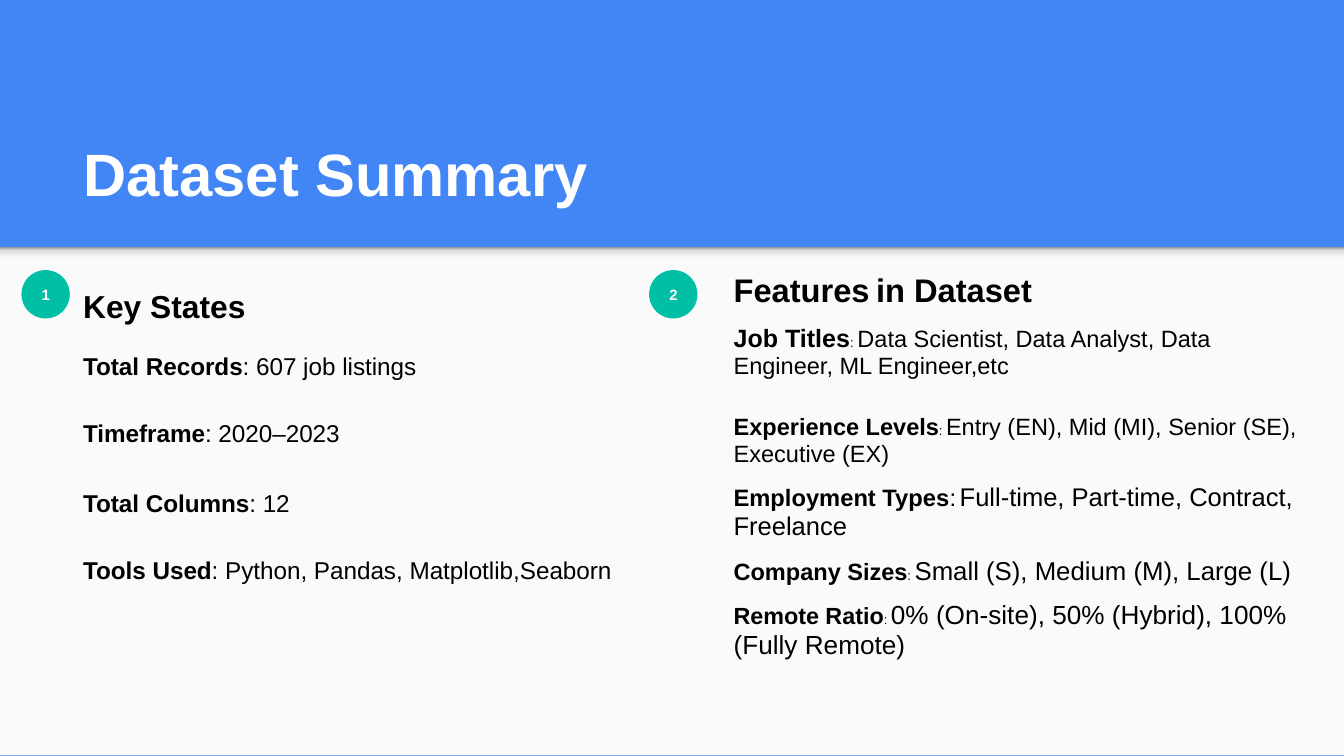
from dataclasses import dataclass

from lxml import etree
from pptx import Presentation
from pptx.dml.color import RGBColor
from pptx.enum.shapes import MSO_SHAPE
from pptx.enum.text import MSO_ANCHOR, PP_ALIGN
from pptx.oxml.ns import qn
from pptx.util import Inches, Pt

RECT, OVAL = MSO_SHAPE.RECTANGLE, MSO_SHAPE.OVAL
TOP, MIDDLE, BOTTOM = MSO_ANCHOR.TOP, MSO_ANCHOR.MIDDLE, MSO_ANCHOR.BOTTOM
LEFT, CENTER = PP_ALIGN.LEFT, PP_ALIGN.CENTER


@dataclass(frozen=True)
class Theme:
    font: str = "Arial"
    blue: str = "4285F4"
    panel: str = "FAFAFA"
    teal: str = "00BFA5"
    white: str = "FFFFFF"
    black: str = "000000"
    shadow: tuple = ((0, "F9F9F9"), (36, "F9F9F9"), (80, "DEDEDE"), (100, "999999"))
    title: float = 32
    badge: float = 8
    key_heading: float = 17
    key_item: float = 13
    feature_heading: float = 17.5
    heading_space: float = 11.9
    separator: float = 7


T = Theme()

# label, value, space before
KEY_STATES = [
    ("Total Records", ": 607 job listings", 12),
    ("Timeframe", ": 2020–2023", 18),
    ("Total Columns", ": 12", 19.5),
    ("Tools Used", ": Python, Pandas, Matplotlib,Seaborn", 18),
]

# label, label size, value, value size, space before
FEATURES = [
    ("Job Titles", 13.4,
     "Data Scientist, Data Analyst, Data Engineer, ML Engineer,etc", 12.6, 8),
    ("Experience Levels", 12.6,
     "Entry (EN), Mid (MI), Senior (SE), Executive (EX)", 12.6, 18),
    ("Employment Types", 12.7,
     "Full-time, Part-time, Contract, Freelance", 13.7, 8.5),
    ("Company Sizes", 12.6, "Small (S), Medium (M), Large (L)", 13.8, 8),
    ("Remote Ratio", 12.5,
     "0% (On-site), 50% (Hybrid), 100% (Fully Remote)", 14, 8),
]


def add_run(p, text, size, bold=False, color=T.black):
    r = p.add_run()
    r.text = text
    r.font.name = T.font
    r.font.size = Pt(size)
    r.font.bold = bold
    r.font.color.rgb = RGBColor.from_string(color)


def write(tf, paragraphs, anchor=TOP, align=LEFT, spacing=1.0):
    """Fill a frame from (space before, runs) pairs; a run is add_run's arguments."""
    tf.word_wrap = True
    tf.vertical_anchor = anchor
    tf.margin_left = tf.margin_right = tf.margin_top = tf.margin_bottom = Inches(0.1)
    for i, (before, runs) in enumerate(paragraphs):
        p = tf.add_paragraph() if i else tf.paragraphs[0]
        p.alignment = align
        p.line_spacing = spacing
        p.space_before = Pt(before)
        for run in runs:
            add_run(p, *run)


def add_text(s, box, paragraphs, **fmt):
    tb = s.shapes.add_textbox(*map(Inches, box))
    write(tb.text_frame, paragraphs, **fmt)


def add_plain_shape(s, kind, box, color):
    sp = s.shapes.add_shape(kind, *map(Inches, box))
    sp.shadow.inherit = False
    sp.line.fill.background()
    sp.fill.solid()
    sp.fill.fore_color.rgb = RGBColor.from_string(color)
    return sp


def add_shadow_strip(s, box):
    sp = add_plain_shape(s, RECT, box, T.panel)
    sp.fill.gradient()
    sp.fill.gradient_angle = 90
    stops = sp._element.spPr.find(qn("a:gradFill")).find(qn("a:gsLst"))
    for stop in list(stops):
        stops.remove(stop)
    for pos, color in T.shadow:
        stop = etree.SubElement(stops, qn("a:gs"), pos=str(pos * 1000))
        etree.SubElement(stop, qn("a:srgbClr"), val=color)


def add_badge(s, number, left):
    sp = add_plain_shape(s, OVAL, (left, 2.01, 0.36, 0.36), T.teal)
    write(sp.text_frame, [(0, [(number, T.badge, True, T.white)])],
          anchor=MIDDLE, align=CENTER)


def key_state_paragraphs():
    yield 0, [("Key States", T.key_heading, True)]
    for label, value, before in KEY_STATES:
        yield before, [(label, T.key_item, True), (value, T.key_item)]


def feature_paragraphs():
    yield 0, [("Features", T.feature_heading, True),
              (" ", T.heading_space, True),
              ("in Dataset", T.feature_heading, True)]
    for label, label_size, value, value_size, before in FEATURES:
        colon_size = label_size if label == "Employment Types" else T.separator
        yield before, [(label, label_size, True), (":", colon_size),
                       (" ", T.separator), (value, value_size)]


def main():
    prs = Presentation()
    prs.slide_width = Inches(10)
    prs.slide_height = prs.slide_width * 9 // 16
    s = prs.slides.add_slide(prs.slide_layouts[6])
    s.background.fill.solid()
    s.background.fill.fore_color.rgb = RGBColor.from_string(T.blue)

    add_plain_shape(s, RECT, (0, 1.84, 10, 3.78), T.panel)
    add_shadow_strip(s, (0, 1.84, 10, 0.12))
    add_text(s, (0.52, 0.81, 8.99, 0.84),
             [(0, [("Dataset Summary", T.title, True, T.white)])], anchor=BOTTOM)

    add_badge(s, "1", 0.16)
    add_text(s, (0.52, 1.99, 4.48, 3.14), key_state_paragraphs(), spacing=1.15)
    add_badge(s, "2", 4.83)
    add_text(s, (5.36, 1.93, 4.48, 3.21), feature_paragraphs(), spacing=0.95)

    prs.save("out.pptx")


if __name__ == "__main__":
    main()
